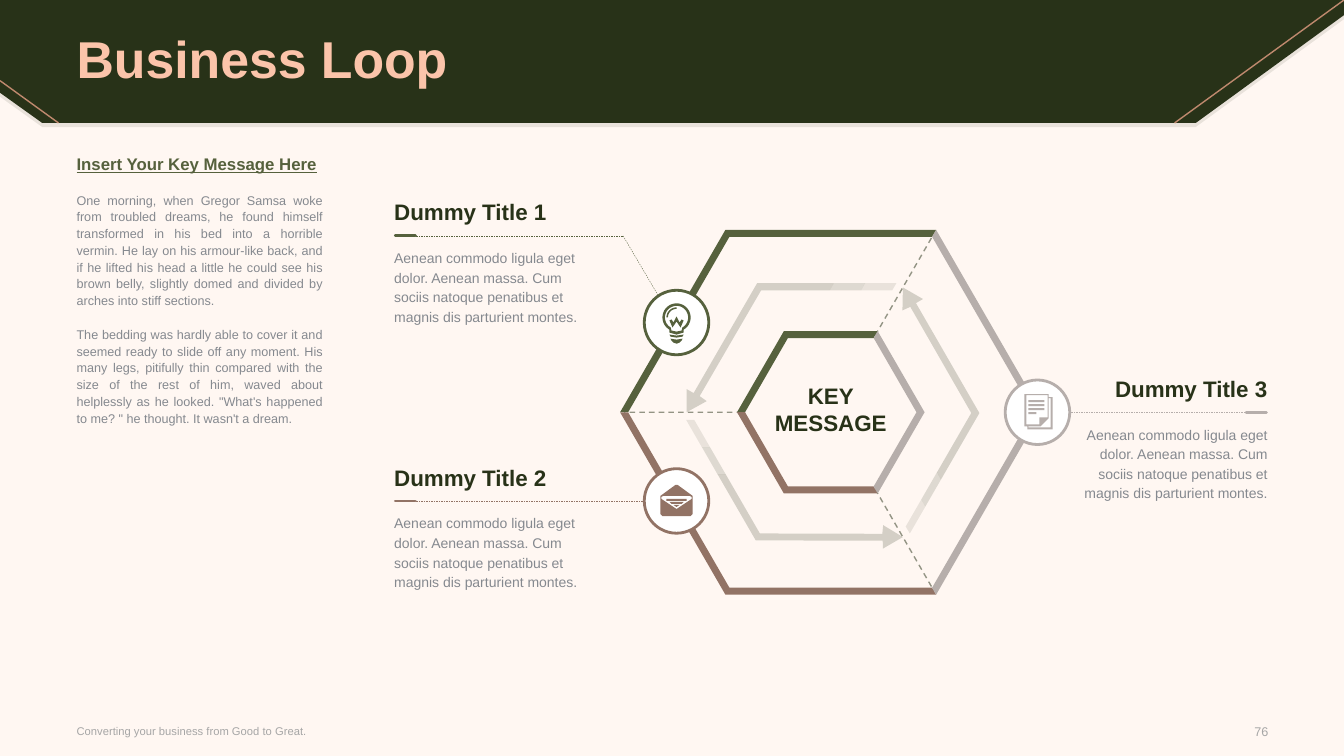
"""Build the Business Loop slide."""
from math import cos, radians, sin

from pptx import Presentation, util as u
from pptx.dml.color import RGBColor
from pptx.enum import dml, shapes as kinds, text
from pptx.oxml import ns, xmlchemy

CREAM = RGBColor(0xFF, 0xF7, 0xF2)
DARK = RGBColor(0x28, 0x32, 0x18)
PEACH = RGBColor(0xFB, 0xC4, 0xAA)
BRONZE = RGBColor(0xBF, 0x89, 0x6E)
GREEN = RGBColor(0x56, 0x61, 0x3D)
BROWN = RGBColor(0x92, 0x73, 0x65)
STONE = RGBColor(0xB6, 0xAE, 0xAB)
GRAY = RGBColor(0x85, 0x89, 0x8F)
PALE = RGBColor(0xA6, 0xA6, 0xA6)
WHITE = RGBColor(0xFF, 0xFF, 0xFF)
LEFT, RIGHT = text.PP_ALIGN.LEFT, text.PP_ALIGN.RIGHT
CENTER, FULL = text.PP_ALIGN.CENTER, text.PP_ALIGN.JUSTIFY

STORY = [
    "One morning, when Gregor Samsa woke from troubled dreams, he found himself transformed in his bed into a horrible vermin. He lay on his armour-like back, and if he lifted his head a little he could see his brown belly, slightly domed and divided by arches into stiff sections.",
    "The bedding was hardly able to cover it and seemed ready to slide off any moment. His many legs, pitifully thin compared with the size of the rest of him, waved about helplessly as he looked. \"What's happened to me? \" he thought. It wasn't a dream.",
]
BLURB = "Aenean commodo ligula eget dolor. Aenean massa. Cum sociis natoque penatibus et magnis dis parturient montes."
HUB = (8.24, 4.09)
BANDS = [(60, GREEN), (180, BROWN), (300, STONE)]
RINGS = [(2.09, 2.01), (0.93, 0.85)]
BANNER = [(11.86, 1.22), (0.42, 1.22), (0, 0.92), (0, 0), (13.33, 0), (13.33, 0.15)]
TRIMS = [(13.33, 0, 11.65, 1.22), (0, 0.8, 0.58, 1.22)]
ARROW = [
    (20, [(-0.01, -1.21), (-0.69, -1.21), (-1.3, -0.16), (-1.23, -0.11), (-1.43, 0),
          (-1.43, -0.23), (-1.36, -0.19), (-0.73, -1.28), (0.03, -1.28)]),
    (15, [(0.34, -1.28), (0.3, -1.21), (-0.01, -1.21), (0.03, -1.28)]),
    (10, [(0.65, -1.28), (0.61, -1.21), (0.3, -1.21), (0.34, -1.28)]),
]


def arc(rad, start, end, x=0, y=0):
    span = [start + (end - start) * i / 40 for i in range(41)]
    return [(x + rad * cos(radians(a)), y + rad * sin(radians(a))) for a in span]


def box(x1, y1, x2, y2):
    return [(x1, y1), (x2, y1), (x2, y2), (x1, y2)]


BULB = [
    arc(0.14, 120, 420, 0, -0.05) + [(0.07, 0.1), (0, 0.12), (-0.07, 0.1)],
    arc(0.115, 120, 420, 0, -0.05) + [(0.05, 0.08), (0, 0.09), (-0.05, 0.08)],
    arc(0.1, 180, 270, 0, -0.05) + arc(0.085, 270, 180, 0, -0.05),
    [(-0.07, 0.12), (0, 0.13), (0.07, 0.12), (0.06, 0.14), (0, 0.15), (-0.06, 0.14)],
    [(-0.06, 0.16), (0, 0.17), (0.06, 0.16), (0.05, 0.18), (0.03, 0.2), (0, 0.21),
     (-0.03, 0.2), (-0.05, 0.18)],
    [(0.03, 0), (0, -0.06), (-0.03, 0), (-0.05, -0.03), (-0.07, -0.02), (-0.04, 0.05),
     (0, -0.01), (0.04, 0.05), (0.07, -0.02), (0.05, -0.03)],
]
MAIL = [
    [(-0.16, -0.05), (-0.01, -0.16), (0.01, -0.16), (0.16, -0.05), (0.16, 0.13),
     (0.14, 0.15), (-0.14, 0.15), (-0.16, 0.13)],
    [(-0.15, -0.02), (-0.15, -0.04), (-0.13, -0.05), (0.13, -0.05), (0.15, -0.04),
     (0.15, -0.02), (0, 0.08)],
    box(-0.1, -0.02, 0.1, 0),
    [(-0.07, 0.01), (0.07, 0.01), (0.05, 0.03), (-0.05, 0.03)],
    [(-0.03, 0.04), (0.03, 0.04), (0, 0.06)],
]
PAGE = [
    [(0.11, -0.15), (0.11, -0.18), (-0.13, -0.18), (-0.13, 0.14), (-0.1, 0.14),
     (-0.1, 0.17), (0.15, 0.17), (0.15, -0.15)],
    [(-0.11, 0.12), (-0.11, -0.17), (0.1, -0.17), (0.1, 0.05), (0.02, 0.05), (0.02, 0.12)],
    [(0.13, 0.15), (-0.09, 0.15), (-0.09, 0.14), (0.03, 0.14), (0.11, 0.06),
     (0.11, -0.14), (0.13, -0.14)],
] + [box(-0.09, y, 0.07, y + 0.02) for y in (-0.12, -0.08, -0.04)] + [box(-0.09, 0, -0.01, 0.02)]

ITEMS = [
    ("Dummy Title 1", 3.91, 2.34, LEFT, GREEN, (6.71, 3.2), BULB,
     [(4.08, 2.34), (6.18, 2.34), (6.68, 3.19)]),
    ("Dummy Title 2", 3.91, 4.97, LEFT, BROWN, (6.71, 4.97), MAIL,
     [(4.08, 4.97), (6.71, 4.97)]),
    ("Dummy Title 3", 10.53, 4.09, RIGHT, STONE, (10.29, 4.09), PAGE,
     [(12.4, 4.09), (10.31, 4.09)]),
]

deck = Presentation()
deck.slide_width, deck.slide_height = u.Inches(13.33), u.Inches(7.5)
slide = deck.slides.add_slide(deck.slide_layouts[6])
slide.background.fill.solid()
slide.background.fill.fore_color.rgb = CREAM
tree = slide.shapes


def fade(shape, alpha):
    for tint in shape._element.spPr.iter(ns.qn("a:srgbClr")):
        node = xmlchemy.OxmlElement("a:alpha")
        node.set("val", str(alpha * 1000))
        tint.append(node)


def poly(loops, color, alpha=100, at=(0, 0)):
    loops = [[(u.Inches(at[0] + x), u.Inches(at[1] + y)) for x, y in loop] for loop in loops]
    pen = tree.build_freeform(*loops[0][0])
    pen.add_line_segments(loops[0][1:])
    for loop in loops[1:]:
        pen.move_to(*loop[0])
        pen.add_line_segments(loop[1:])
    shape = pen.convert_to_shape()
    shape.shadow.inherit = False
    shape.fill.solid()
    shape.fill.fore_color.rgb = color
    shape.line.fill.background()
    if alpha < 100:
        fade(shape, alpha)


def line(x1, y1, x2, y2, color, width, dash=False, alpha=100, cap="flat"):
    link = tree.add_connector(kinds.MSO_CONNECTOR.STRAIGHT, *map(u.Inches, (x1, y1, x2, y2)))
    link.line.color.rgb = color
    link.line.width = u.Pt(width)
    if dash:
        link.line.dash_style = dml.MSO_LINE.DASH
    props = link._element.spPr
    props.find(ns.qn("a:ln")).set("cap", cap)
    props.append(xmlchemy.OxmlElement("a:effectLst"))
    if alpha < 100:
        fade(link, alpha)


def write(x, y, w, h, paras, align=LEFT, lead=None, gap=0, mid=False):
    frame = tree.add_textbox(*map(u.Inches, (x, y, w, h))).text_frame
    frame.word_wrap = True
    frame.margin_left = frame.margin_right = frame.margin_top = frame.margin_bottom = 0
    frame.vertical_anchor = text.MSO_ANCHOR.MIDDLE if mid else text.MSO_ANCHOR.TOP
    for i, (words, size, color, bold, under) in enumerate(paras):
        para = frame.add_paragraph() if i else frame.paragraphs[0]
        para.alignment = align
        para.space_before = u.Pt(gap if i else 0)
        if lead:
            para.line_spacing = lead
        run = para.add_run()
        run.text = words
        font = run.font
        font.name, font.size, font.bold, font.underline = "Arial", u.Pt(size), bold, under
        font.color.rgb = color


def polar(rad, angle):
    return rad * cos(radians(angle)), -rad * sin(radians(angle))


def turn(x, y, angle):
    c, s = cos(radians(angle)), sin(radians(angle))
    return x * c + y * s, y * c - x * s


poly([BANNER], DARK, 10, (0, 0.04))
poly([BANNER], DARK)
for trim in TRIMS:
    line(*trim, BRONZE, 1)
write(0.76, 0.03, 11.81, 1.17, [("Business Loop", 37, PEACH, True, False)], lead=0.9, mid=True)
write(0.76, 1.56, 2.44, 5.19,
      [("Insert Your Key Message Here", 12, GREEN, True, True)]
      + [(words, 9, GRAY, False, False) for words in STORY], FULL, u.Pt(12), 12)
write(0.76, 7.12, 5.23, 0.26,
      [("Converting your business from Good to Great.", 8, PALE, False, False)], mid=True)
write(11.95, 7.13, 0.63, 0.26, [("76", 9, PALE, False, False)], RIGHT, mid=True)

for start, color in BANDS:
    ends = [HUB[i] + polar(rad, start)[i] for rad in (0.88, 2.05) for i in (0, 1)]
    line(*ends, DARK, 1, True, 50)
for start, color in BANDS:
    turns = [start, start + 60, start + 120]
    for outer, inner in RINGS:
        poly([[polar(outer, a) for a in turns] + [polar(inner, a) for a in turns[::-1]]],
             color, at=HUB)
    for alpha, part in ARROW:
        poly([[turn(x, y, start - 60) for x, y in part]], DARK, alpha, HUB)
write(7.49, 3.79, 1.5, 0.54,
      [(word, 16, DARK, True, False) for word in ("KEY", "MESSAGE")], CENTER)

for title, x, y, align, color, spot, icon, route in ITEMS:
    for a, b in zip(route, route[1:]):
        line(*a, *b, color, 0.25, True)
    mark = x + 0.01 if align == LEFT else x + 1.83
    line(mark, y, mark + 0.2, y, color, 2, cap="rnd")
    write(x, y - 0.37, 2.04, 0.27, [(title, 16, DARK, True, False)], align)
    write(x, y + 0.11, 2.04, 0.79, [(BLURB, 10, GRAY, False, False)], align, u.Pt(14))
    disc = tree.add_shape(kinds.MSO_SHAPE.OVAL, u.Inches(spot[0] - 0.32), u.Inches(spot[1] - 0.32),
                          u.Inches(0.64), u.Inches(0.64))
    disc.shadow.inherit = False
    disc.fill.solid()
    disc.fill.fore_color.rgb = WHITE
    disc.line.color.rgb = color
    disc.line.width = u.Pt(2)
    poly(icon, color, at=spot)

deck.save("out.pptx")
